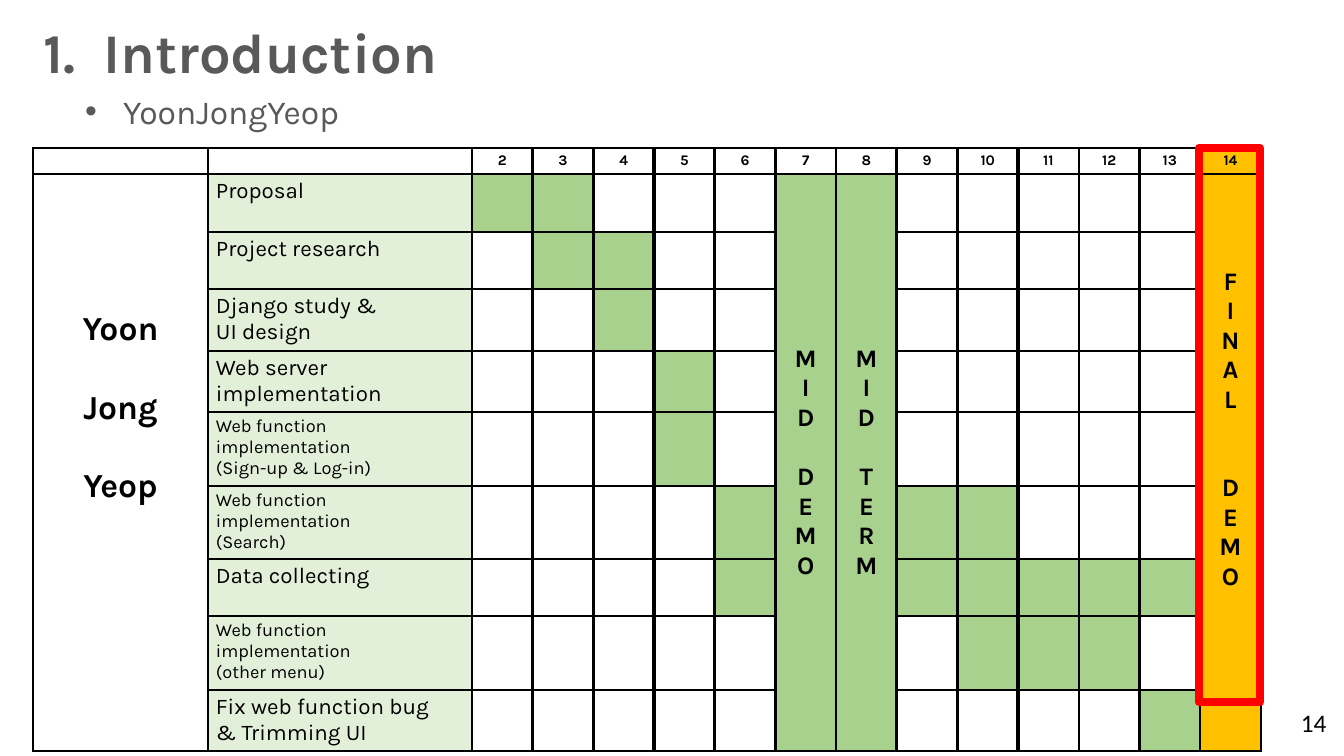
import pptx
import pptx.util
import pptx.dml.color
import pptx.enum.shapes
import pptx.enum.text
import pptx.oxml
import lxml.etree

PX = 9071.43  # EMU per px
ALIGN = pptx.enum.text.PP_ALIGN
ANCHOR = pptx.enum.text.MSO_ANCHOR

THEME = {
    "font": "Karla", "number_font": "Calibri",
    "heading": "595959", "ink": "000000", "white": "FFFFFF", "task": "E2F0D9",
    "busy": "A9D18E", "final": "FFC000", "alert": "FF0000",
    "title": 40, "body": 24, "name": 24, "stack": 18, "number": 18,
    "large": 16, "small": 13, "week": 10.5,
    "line": 1.98, "thick_line": 2.55, "alert_line": 6,
}


def px(*values):
    return [pptx.util.Emu(round(v * PX)) for v in values]


def write(tf, lines, size, color="ink", bold=False, align=ALIGN.LEFT, gaps=(), font="font"):
    """Write one paragraph per line; gaps maps a line index to its space before."""
    for i, line in enumerate(lines):
        p = tf.paragraphs[0] if i == 0 else tf.add_paragraph()
        p.alignment = align
        p.space_before = pptx.util.Pt(dict(gaps).get(i, 0))
        r = p.add_run()
        r.text = line
        r.font.name = THEME[font]
        r.font.size = pptx.util.Pt(THEME[size])
        r.font.bold = bold
        r.font.color.rgb = pptx.dml.color.RGBColor.from_string(THEME[color])


prs = pptx.Presentation()
prs.slide_width, prs.slide_height = px(1344, 756)
s = prs.slides.add_slide(prs.slide_layouts[1])

# Title and subtitle bullet
title, body = s.shapes.title, s.placeholders[1]
for sp, box in ((title, (33, 12, 617, 78)), (body, (75, 86, 1269, 50))):
    sp.left, sp.top, sp.width, sp.height = px(*box)
    sp.text_frame.vertical_anchor = ANCHOR.TOP
    sp.text_frame.auto_size = pptx.enum.text.MSO_AUTO_SIZE.NONE
write(title.text_frame, ["1.  Introduction"], "title", "heading", bold=True)
write(body.text_frame, ["YoonJongYeop"], "body", "heading")
indent = px(38)[0]
pPr = body.text_frame.paragraphs[0]._p.get_or_add_pPr()
pPr.set("marL", str(indent))
pPr.set("indent", str(-indent))

# Schedule: task lines, type size, busy weeks
TASKS = [
    (["Proposal"], "large", [2, 3]),
    (["Project research"], "large", [3, 4]),
    (["Django study &", "UI design"], "large", [4]),
    (["Web server implementation"], "large", [5]),
    (["Web function implementation", "(Sign-up & Log-in)"], "small", [5]),
    (["Web function implementation", "(Search)"], "small", [6, 9, 10]),
    (["Data collecting"], "large", [6, 9, 10, 11, 12, 13]),
    (["Web function implementation", "(other menu)"], "small", [10, 11, 12]),
    (["Fix web function bug", "& Trimming UI"], "large", [13]),
]
WEEKS = range(2, 15)  # a week's number is also its column index
ROW_HEIGHTS = [26, 58, 57, 62, 61, 74, 73, 57, 74, 61]
MILESTONES = {7: "MID DEMO", 8: "MID TERM", 14: "FINAL DEMO"}
LAST = len(TASKS)

frame = s.shapes.add_table(LAST + 1, 15, *px(33, 148, 1228, sum(ROW_HEIGHTS)))
table = frame.table
table.first_row = table.horz_banding = False
table.columns[0].width, table.columns[1].width = px(175, 264)
for week in WEEKS:
    table.columns[week].width = px(789 / len(WEEKS))[0]
for row, height in zip(table.rows, px(*ROW_HEIGHTS)):
    row.height = height

# Cell fills, margins and borders
for r_i in range(LAST + 1):
    for c_i in range(15):
        cell = table.cell(r_i, c_i)
        fill = "white"
        if c_i == 14:
            fill = "final"
        elif r_i and c_i == 1:
            fill = "task"
        elif r_i and (c_i in MILESTONES or c_i in TASKS[r_i - 1][2]):
            fill = "busy"
        cell.margin_left, cell.margin_right, cell.margin_top, cell.margin_bottom = px(8, 8, 4, 4)
        tcPr = cell._tc.get_or_add_tcPr()
        for side in ("lnL", "lnR", "lnT", "lnB"):
            thick = (side, c_i) in (("lnR", 4), ("lnL", 5), ("lnR", 10), ("lnL", 11))
            width = THEME["thick_line" if thick else "line"]
            ln = lxml.etree.SubElement(tcPr, pptx.oxml.ns.qn(f"a:{side}"), w=str(round(width * 12700)))
            solid = lxml.etree.SubElement(ln, pptx.oxml.ns.qn("a:solidFill"))
            lxml.etree.SubElement(solid, pptx.oxml.ns.qn("a:srgbClr"), val=THEME["ink"])
        cell.fill.solid()
        cell.fill.fore_color.rgb = pptx.dml.color.RGBColor.from_string(THEME[fill])
        # Keeps empty cells from stretching their row
        end = cell.text_frame.paragraphs[0]._p.get_or_add_endParaRPr()
        end.set("sz", str(round(THEME["week"] * 100)))

# Week numbers and task names
for week in WEEKS:
    write(table.cell(0, week).text_frame, [str(week)], "week", bold=True, align=ALIGN.CENTER)
for r_i, (lines, size, busy) in enumerate(TASKS, 1):
    write(table.cell(r_i, 1).text_frame, lines, size)

# Member name
name = table.cell(1, 0)
name.merge(table.cell(LAST, 0))
name.margin_top = px(136)[0]
write(name.text_frame, ["Yoon", "Jong", "Yeop"], "name", bold=True,
      align=ALIGN.CENTER, gaps={1: 28, 2: 28})

# Milestones, one letter per line
for week, label in MILESTONES.items():
    cell = table.cell(1, week)
    cell.merge(table.cell(LAST, week))
    final = week == 14
    if final:
        cell.margin_top = px(93)[0]
    else:
        cell.vertical_anchor = ANCHOR.MIDDLE
    first, second = label.split()
    write(cell.text_frame, first + second, "stack", bold=True, align=ALIGN.CENTER,
          gaps={len(first): 42 if final else 21})

# Slide number
number = s.shapes.add_textbox(*px(1291, 702, 46, 40))
number.text_frame.word_wrap = False
write(number.text_frame, ["14"], "number", font="number_font")

# Frame around the final week
sp = s.shapes.add_shape(pptx.enum.shapes.MSO_SHAPE.RECTANGLE, *px(1199, 148, 61, 554))
sp.shadow.inherit = False
sp.fill.background()
sp.line.color.rgb = pptx.dml.color.RGBColor.from_string(THEME["alert"])
sp.line.width = pptx.util.Pt(THEME["alert_line"])

prs.save("out.pptx")
